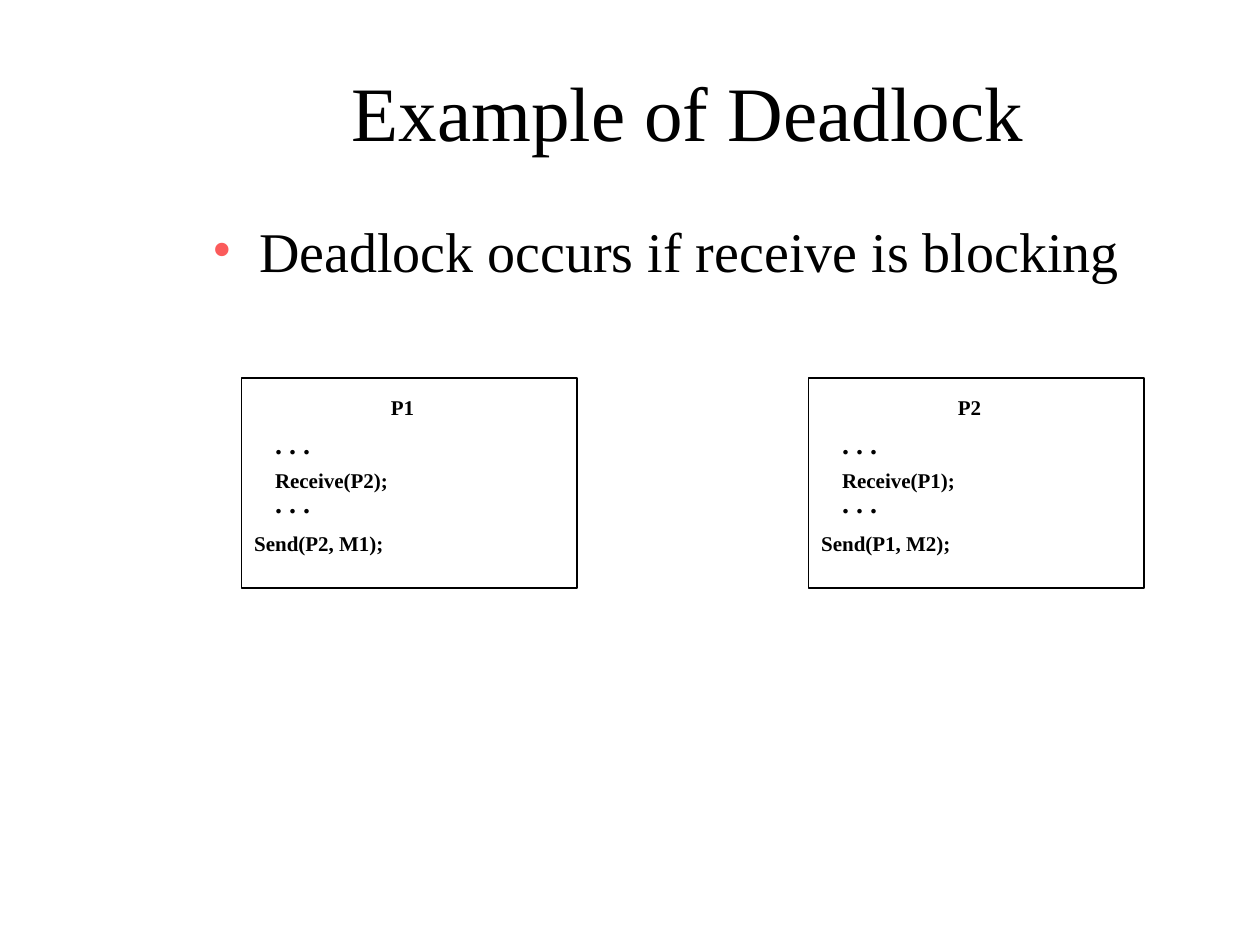
from dataclasses import dataclass

import pptx
import pptx.dml.color
import pptx.enum.shapes
import pptx.enum.text
import pptx.oxml
import pptx.oxml.ns
import pptx.util
from pptx.util import Cm

FONT = "Times New Roman"
COLORS = {"text": "000000", "panel": "FFFFFF", "bullet": "FB5B5B"}
PANEL_TOP, PANEL_WIDTH, PANEL_HEIGHT = 7.62, 6.77, 4.23
CODE_INDENT = 0.42


@dataclass
class Process:
    name: str
    receive: str
    send: str
    left: float


@dataclass
class CodeLine:
    """A line of text, placed from the corner of its panel in cm."""
    text: str
    left: float
    top: float
    width: float
    height: float = 0.77
    size: int = 12


def rgb(role: str) -> pptx.dml.color.RGBColor:
    return pptx.dml.color.RGBColor.from_string(COLORS[role])


def add_run(paragraph, text: str, size: int, bold: bool = False) -> None:
    run = paragraph.add_run()
    run.text = text
    run.font.name = FONT
    run.font.size = pptx.util.Pt(size)
    run.font.bold = bold
    run.font.color.rgb = rgb("text")


def place(holder, left: float, top: float, width: float, height: float) -> None:
    holder.left, holder.top = Cm(left), Cm(top)
    holder.width, holder.height = Cm(width), Cm(height)
    holder.text_frame.auto_size = pptx.enum.text.MSO_AUTO_SIZE.NONE


def set_bullet(paragraph, indent: float) -> None:
    properties = paragraph._p.get_or_add_pPr()
    properties.set("marL", str(Cm(indent)))
    properties.set("indent", str(-Cm(indent)))
    namespace = pptx.oxml.ns.nsdecls("a")
    for xml in (
        f'<a:buClr {namespace}><a:srgbClr val="{COLORS["bullet"]}"/></a:buClr>',
        f'<a:buFont {namespace} typeface="{FONT}"/>',
        f'<a:buChar {namespace} char="•"/>',
    ):
        properties.append(pptx.oxml.parse_xml(xml))


def draw_line(slide, process: Process, line: CodeLine) -> None:
    label = slide.shapes.add_textbox(
        Cm(process.left + line.left), Cm(PANEL_TOP + line.top),
        Cm(line.width), Cm(line.height))
    label.text_frame.word_wrap = False
    label.text_frame.auto_size = pptx.enum.text.MSO_AUTO_SIZE.SHAPE_TO_FIT_TEXT
    paragraph = label.text_frame.paragraphs[0]
    paragraph.alignment = pptx.enum.text.PP_ALIGN.CENTER
    add_run(paragraph, line.text, line.size, bold=True)


def draw_process(slide, process: Process) -> None:
    panel = slide.shapes.add_shape(
        pptx.enum.shapes.MSO_SHAPE.RECTANGLE, Cm(process.left), Cm(PANEL_TOP),
        Cm(PANEL_WIDTH), Cm(PANEL_HEIGHT))
    panel.shadow.inherit = False
    panel.fill.solid()
    panel.fill.fore_color.rgb = rgb("panel")
    panel.line.color.rgb = rgb("text")
    panel.line.width = pptx.util.Pt(1)

    ellipses = [CodeLine(". . .", CODE_INDENT, top, 1.22, 0.93, 16)
                for top in (0.85, 2.04)]
    for line in (
        CodeLine(process.name, 2.75, 0.21, 0.99),
        *ellipses,
        CodeLine(process.receive, CODE_INDENT, 1.69, 2.79),
        CodeLine(process.send, 0, 2.96, 3.12),
    ):
        draw_line(slide, process, line)


def main() -> None:
    deck = pptx.Presentation()
    deck.slide_width, deck.slide_height = Cm(25.4), Cm(19.05)
    slide = deck.slides.add_slide(deck.slide_layouts[1])

    # Title
    title = slide.shapes.title
    place(title, 4.02, 0.64, 19.69, 3.18)
    title.text_frame.vertical_anchor = pptx.enum.text.MSO_ANCHOR.MIDDLE
    heading = title.text_frame.paragraphs[0]
    heading.alignment = pptx.enum.text.PP_ALIGN.CENTER
    add_run(heading, "Example of Deadlock", 44)

    # Bulleted statement
    body = slide.placeholders[1]
    place(body, 4.02, 4.23, 20.11, 12.7)
    statement = body.text_frame.paragraphs[0]
    set_bullet(statement, 0.95)
    statement.space_before = pptx.util.Pt(0)
    add_run(statement, "Deadlock occurs if receive is blocking", 32)

    # The two processes that wait for each other
    for process in (
        Process("P1", "Receive(P2);", "Send(P2, M1);", 4.87),
        Process("P2", "Receive(P1);", "Send(P1, M2);", 16.3),
    ):
        draw_process(slide, process)

    deck.save("out.pptx")


if __name__ == "__main__":
    main()
